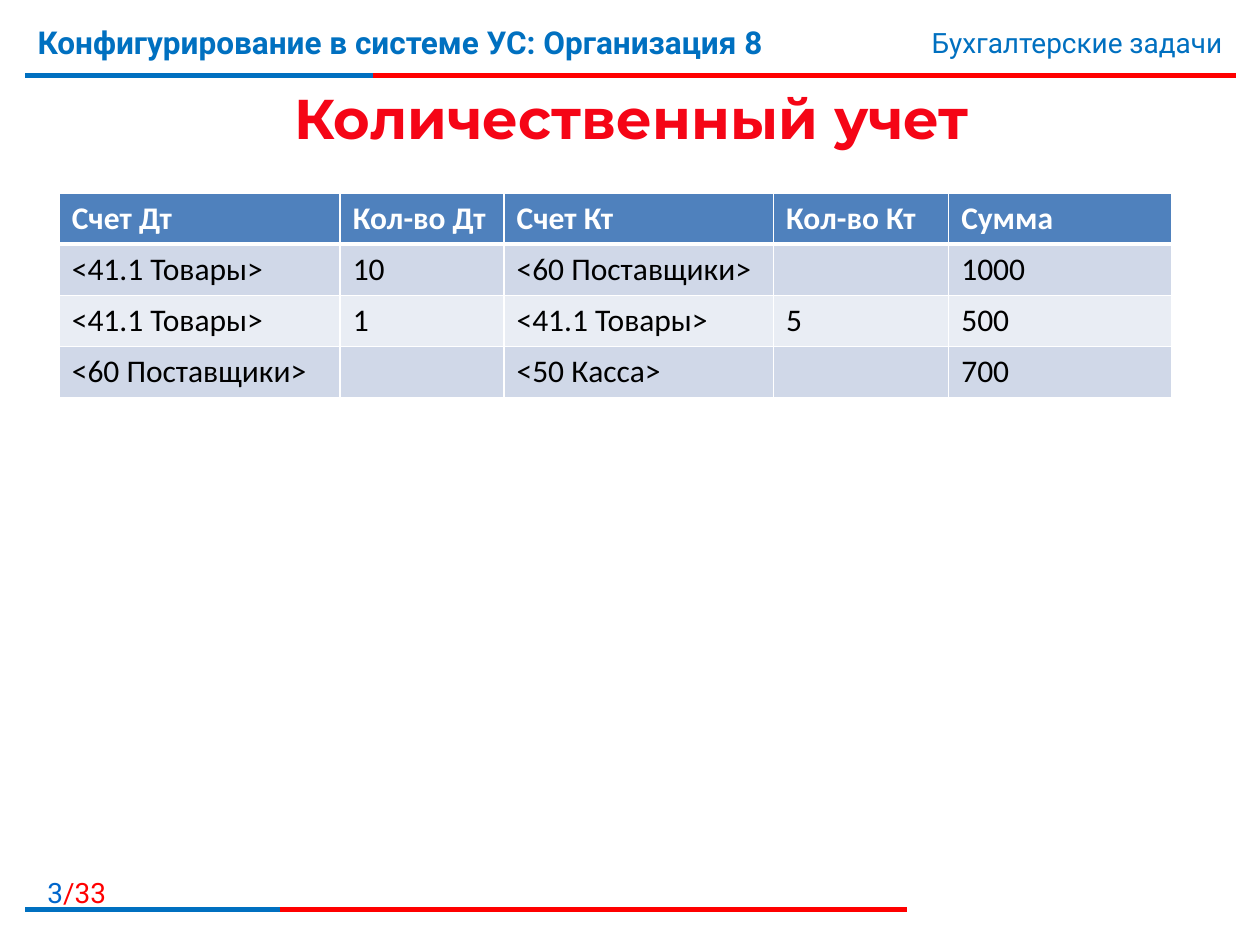
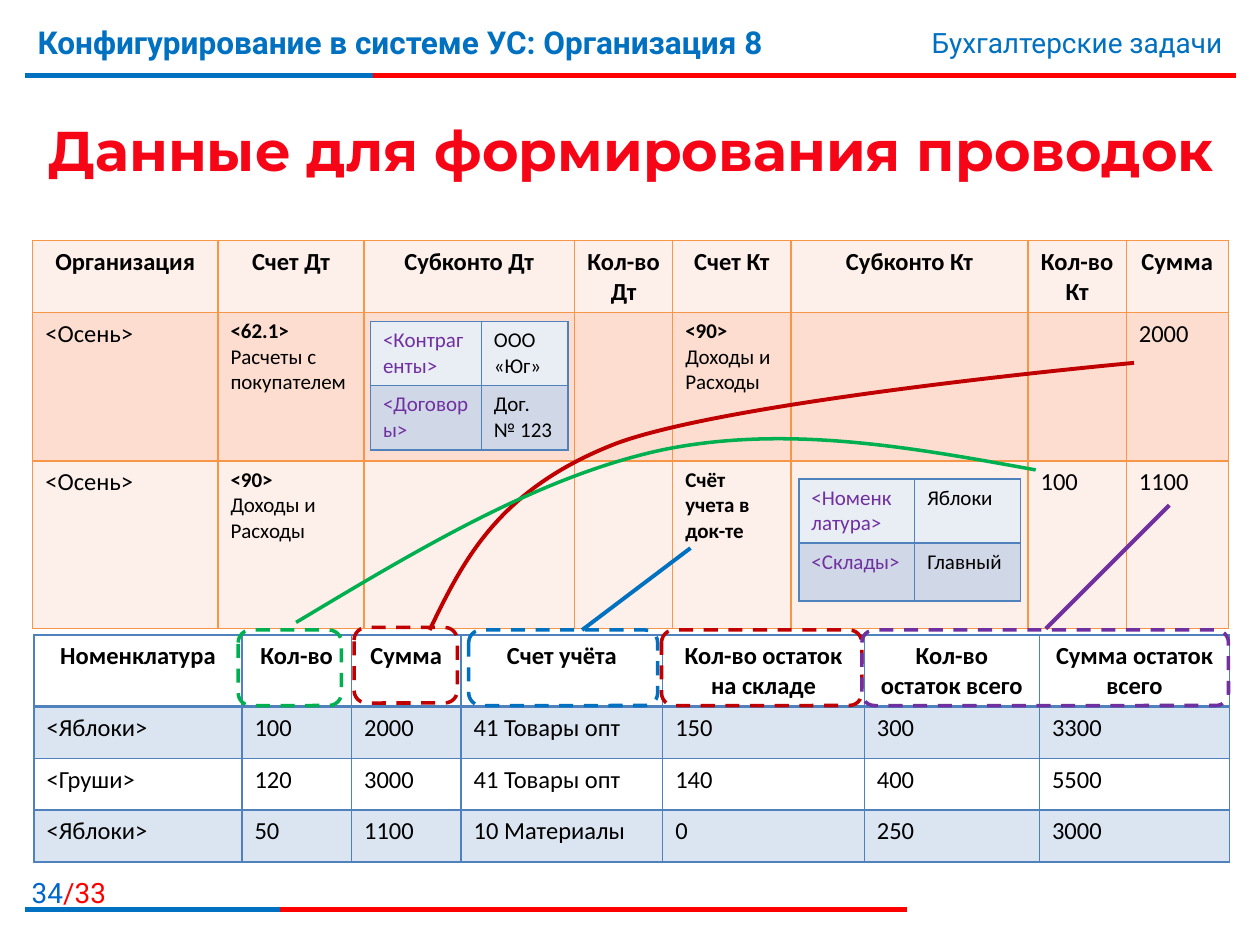
from dataclasses import dataclass
from typing import NamedTuple, Optional

from lxml import etree
from pptx import Presentation
from pptx.dml.color import RGBColor
from pptx.enum.dml import MSO_LINE
from pptx.enum.shapes import MSO_CONNECTOR, MSO_SHAPE
from pptx.enum.text import MSO_ANCHOR, PP_ALIGN
from pptx.oxml.ns import qn
from pptx.util import Inches, Pt

LEFT, CENTER, RIGHT = PP_ALIGN.LEFT, PP_ALIGN.CENTER, PP_ALIGN.RIGHT
TOP, MIDDLE = MSO_ANCHOR.TOP, MSO_ANCHOR.MIDDLE
STRAIGHT, ROUNDED, DASH = MSO_CONNECTOR.STRAIGHT, MSO_SHAPE.ROUNDED_RECTANGLE, MSO_LINE.DASH

# The slide is a grid of 100 columns by 75 rows
WIDTH, HEIGHT = Inches(10), Inches(7.5)
COLUMNS, ROWS = 100, 75

BLUE, RED, TITLE_RED, PAGE_BLUE = "0070C0", "FF0000", "F50516", "0066CC"
DARK_RED, GREEN, PURPLE = "C00000", "00B050", "7030A0"
BLACK, WHITE = "000000", "FFFFFF"
TABLE_BLUE, BAND_DARK, BAND_LIGHT = "4F81BD", "D0D8E8", "E9EDF4"
ORANGE, PEACH_DARK, PEACH_LIGHT = "F79646", "FCDDCF", "FDEFE9"


class Box(NamedTuple):
    left: float
    top: float
    width: float
    height: float


class Point(NamedTuple):
    x: float
    y: float


class Rule(NamedTuple):
    y: float
    end: float
    blue_end: float


class Part(NamedTuple):
    text: str
    color: str


@dataclass(frozen=True)
class TextStyle:
    font: str
    size: int
    bold: bool = False
    align: PP_ALIGN = LEFT
    anchor: MSO_ANCHOR = TOP


@dataclass(frozen=True)
class TableStyle:
    border: str
    bands: tuple[Optional[str], ...]
    size: int
    has_header: bool = True
    header_fill: Optional[str] = None
    header_color: str = BLACK
    header_align: PP_ALIGN = LEFT
    header_rule: float = 1
    band_alpha: Optional[int] = None
    account_columns: tuple[int, ...] = ()
    first_column_color: str = BLACK


@dataclass(frozen=True)
class Grid:
    left: float
    top: float
    widths: tuple[float, ...]
    heights: tuple[float, ...]
    style: TableStyle
    rows: tuple[tuple[str, ...], ...]


class Highlight(NamedTuple):
    box: Box
    color: str


RULES = (Rule(6, 98.1, 29.6), Rule(72.2, 72, 22.2))
COURSE = TextStyle("Roboto", 18, bold=True)
TOPIC = TextStyle("Roboto", 16, align=RIGHT)
TITLE = TextStyle("Montserrat", 32, bold=True, align=CENTER, anchor=MIDDLE)

QUANTITY_STYLE = TableStyle(TABLE_BLUE and WHITE, (BAND_DARK, BAND_LIGHT), 18, header_fill=TABLE_BLUE,
                            header_color=WHITE, header_rule=3)
POSTING_STYLE = TableStyle(ORANGE, (PEACH_DARK, PEACH_LIGHT), 14, header_fill=PEACH_LIGHT,
                           header_align=CENTER, account_columns=(1, 4))
DOCUMENT_STYLE = TableStyle(TABLE_BLUE, (TABLE_BLUE, None), 14, header_align=CENTER,
                            header_rule=2, band_alpha=20)
ANALYTICS_STYLE = TableStyle(TABLE_BLUE, (BAND_LIGHT, BAND_DARK), 12, has_header=False,
                             first_column_color=PURPLE)

QUANTITIES = Grid(4.7, 15.3, (22.3, 13, 21.4, 13.9, 17.7), (4.07,) * 4, QUANTITY_STYLE, (
    ("Счет Дт", "Кол-во Дт", "Счет Кт", "Кол-во Кт", "Сумма"),
    ("<41.1 Товары>", "10", "<60 Поставщики>", "", "1000"),
    ("<41.1 Товары>", "1", "<41.1 Товары>", "5", "500"),
    ("<60 Поставщики>", "", "<50 Касса>", "", "700"),
))
POSTINGS = Grid(2.6, 19.1, (14.7, 11.6, 16.7, 7.8, 9.4, 18.8, 7.8, 8.1), (5.7, 11.8, 13.3),
                POSTING_STYLE, (
    ("Организация", "Счет Дт", "Субконто Дт", "Кол-во Дт", "Счет Кт", "Субконто Кт",
     "Кол-во Кт", "Сумма"),
    ("<Осень>", "<62.1>\vРасчеты с покупателем", "", "", "<90>\vДоходы и Расходы", "", "", "2000"),
    ("<Осень>", "<90>\vДоходы и Расходы", "", "", "Счёт учета в док-те", "", "100", "1100"),
))
DEBIT_ANALYTICS = Grid(29.4, 25.5, (8.8, 6.9), (5.1, 5.1), ANALYTICS_STYLE, (
    ("<Контрагенты>", "ООО «Юг»"),
    ("<Договоры>", "Дог. № 123"),
))
DOCUMENT = Grid(2.7, 50.4, (16.5, 8.7, 8.7, 16, 16, 13.9, 15.1), (5.7, 4.1, 4.1, 4.1),
                DOCUMENT_STYLE, (
    ("Номенклатура", "Кол-во", "Сумма", "Счет учёта", "Кол-во остаток на складе",
     "Кол-во остаток всего", "Сумма остаток всего"),
    ("<Яблоки>", "100", "2000", "41 Товары опт", "150", "300", "3300"),
    ("<Груши>", "120", "3000", "41 Товары опт", "140", "400", "5500"),
    ("<Яблоки>", "50", "1100", "10 Материалы", "0", "250", "3000"),
))
CREDIT_ANALYTICS = Grid(63.4, 38, (9.2, 8.4), (5.1, 4.6), ANALYTICS_STYLE, (
    ("<Номенклатура>", "Яблоки"),
    ("<Склады>", "Главный"),
))

HIGHLIGHTS = (
    Highlight(Box(18.9, 50, 8.2, 6), GREEN),
    Highlight(Box(28.1, 49.8, 8.2, 6), DARK_RED),
    Highlight(Box(37.2, 50, 15, 6), BLUE),
    Highlight(Box(52.5, 50, 15.9, 6), DARK_RED),
    Highlight(Box(68.4, 50, 29.1, 6), PURPLE),
)
# Each curve is a start followed by triples of Bezier points
SUM_CURVE = (Point(34.1, 50), Point(36.8, 44.4), Point(39.6, 38.8), Point(48.9, 35.2),
             Point(58.3, 31.7), Point(90, 28.8), Point(90, 28.8))
QUANTITY_CURVE = (Point(23.5, 49.4), Point(33.2, 43.6), Point(42.8, 37.8), Point(52.6, 35.7),
                  Point(62.4, 33.7), Point(72.3, 35.5), Point(82.2, 37.3))


def col(count: float) -> int:
    return round(WIDTH * count / COLUMNS)


def row(count: float) -> int:
    return round(HEIGHT * count / ROWS)


def place(box: Box) -> tuple[int, int, int, int]:
    return col(box.left), row(box.top), col(box.width), row(box.height)


def rgb(color: str) -> RGBColor:
    return RGBColor.from_string(color)


def format_run(run, font: str, size: int, bold: bool, color: str) -> None:
    run.font.name, run.font.size, run.font.bold = font, Pt(size), bold
    run.font.color.rgb = rgb(color)


def add_text(slide, box: Box, style: TextStyle, *parts: Part) -> None:
    frame = slide.shapes.add_textbox(*place(box)).text_frame
    frame.word_wrap, frame.vertical_anchor = True, style.anchor
    paragraph = frame.paragraphs[0]
    paragraph.alignment = style.align
    for part in parts:
        run = paragraph.add_run()
        run.text = part.text
        format_run(run, style.font, style.size, style.bold, part.color)


def add_line(slide, start: Point, end: Point, color: str, weight: float) -> None:
    line = slide.shapes.add_connector(STRAIGHT, col(start.x), row(start.y), col(end.x), row(end.y))
    line.line.color.rgb, line.line.width = rgb(color), Pt(weight)
    etree.SubElement(line._element.spPr, qn("a:effectLst"))


def add_curve(slide, points: tuple[Point, ...], color: str, weight: float) -> None:
    start, *others = [(col(point.x), row(point.y)) for point in points]
    builder = slide.shapes.build_freeform(*start)
    builder.add_line_segments(others, close=False)
    curve = builder.convert_to_shape()
    curve.shadow.inherit = False
    curve.fill.background()
    curve.line.color.rgb, curve.line.width = rgb(color), Pt(weight)
    # Join every three straight segments into one Bezier segment
    segments = curve._element.xpath(".//a:lnTo")
    for first in range(0, len(segments), 3):
        bezier = etree.Element(qn("a:cubicBezTo"))
        segments[first].addprevious(bezier)
        for segment in segments[first:first + 3]:
            bezier.append(segment[0])
            segment.getparent().remove(segment)


def add_highlight(slide, highlight: Highlight) -> None:
    frame = slide.shapes.add_shape(ROUNDED, *place(highlight.box))
    frame.shadow.inherit = False
    frame.fill.background()
    frame.line.color.rgb, frame.line.width = rgb(highlight.color), Pt(2)
    frame.line.dash_style = DASH


def set_borders(cell, color: str, top: float, bottom: float) -> None:
    properties = cell._tc.get_or_add_tcPr()
    for side, weight in (("L", 1), ("R", 1), ("T", top), ("B", bottom)):
        line = etree.SubElement(properties, qn(f"a:ln{side}"), w=str(Pt(weight)))
        fill = etree.SubElement(line, qn("a:solidFill"))
        etree.SubElement(fill, qn("a:srgbClr"), val=color)


def fill_cell(cell, color: Optional[str], alpha: Optional[int]) -> None:
    if color is None:
        cell.fill.background()
        return
    cell.fill.solid()
    cell.fill.fore_color.rgb = rgb(color)
    if alpha is not None:
        shade = cell._tc.tcPr.find(f".//{qn('a:solidFill')}[last()]")
        shade = cell._tc.tcPr.findall(qn("a:solidFill"))[0][0]
        etree.SubElement(shade, qn("a:alpha"), val=str(alpha * 1000))


def write_cell(cell, text: str, style: TableStyle, column: int, is_header: bool) -> None:
    is_account = column in style.account_columns and not is_header
    color = style.first_column_color if column == 0 else BLACK
    paragraph = cell.text_frame.paragraphs[0]
    paragraph.text = text
    paragraph.alignment = style.header_align if is_header else LEFT
    for index, run in enumerate(paragraph.runs):
        format_run(run, "Calibri", 12 if is_account else style.size,
                   is_header or (is_account and index == 0),
                   style.header_color if is_header else color)


def add_grid(slide, grid: Grid) -> None:
    style = grid.style
    box = Box(grid.left, grid.top, sum(grid.widths), sum(grid.heights))
    table = slide.shapes.add_table(len(grid.heights), len(grid.widths), *place(box)).table
    table.first_row = table.horz_banding = False
    for column, width in zip(table.columns, grid.widths):
        column.width = col(width)
    first_band = 1 if style.has_header else 0
    for r, texts in enumerate(grid.rows):
        table.rows[r].height = row(grid.heights[r])
        is_header = r < first_band
        band = style.bands[(r - first_band) % len(style.bands)]
        for c, text in enumerate(texts):
            cell = table.cell(r, c)
            set_borders(cell, style.border,
                        style.header_rule if r == first_band == 1 else 1,
                        style.header_rule if is_header else 1)
            fill_cell(cell, style.header_fill if is_header else band,
                      None if is_header else style.band_alpha)
            write_cell(cell, text, style, c, is_header)


def add_slide(deck, title: str, title_height: float, page: str):
    slide = deck.slides.add_slide(deck.slide_layouts[6])
    # Header and footer rules
    for rule in RULES:
        for end, color in ((rule.end, RED), (rule.blue_end, BLUE)):
            add_line(slide, Point(2, rule.y), Point(end, rule.y), color, 3)
    # Page number, course, topic and title
    add_text(slide, Box(0, 69, 9.4, 3.2), TOPIC, Part(page, PAGE_BLUE), Part("/33", RED))
    add_text(slide, Box(2, 1.3, 74, 6.2), COURSE,
             Part("Конфигурирование в системе УС: Организация 8", BLUE))
    add_text(slide, Box(59.4, 1.5, 38.6, 3.7), TOPIC, Part("Бухгалтерские задачи", BLUE))
    add_text(slide, Box(2.1, 6.3, 96.1, title_height), TITLE, Part(title, TITLE_RED))
    return slide


def main() -> None:
    deck = Presentation()
    deck.slide_width, deck.slide_height = WIDTH, HEIGHT

    # Quantity accounting
    quantity = add_slide(deck, "Количественный учет", 6, "3")
    add_grid(quantity, QUANTITIES)

    # Data for postings: tables, then links from document columns to postings
    posting = add_slide(deck, "Данные для формирования проводок", 11.1, "34")
    for grid in (POSTINGS, DEBIT_ANALYTICS, DOCUMENT, CREDIT_ANALYTICS):
        add_grid(posting, grid)
    for highlight in HIGHLIGHTS:
        add_highlight(posting, highlight)
    add_curve(posting, SUM_CURVE, DARK_RED, 2.25)
    add_curve(posting, QUANTITY_CURVE, GREEN, 2)
    add_line(posting, Point(46.2, 50), Point(54.8, 43.5), BLUE, 2.25)
    add_line(posting, Point(83, 49.9), Point(92.8, 40.1), PURPLE, 2.25)

    deck.save("out.pptx")


if __name__ == "__main__":
    main()
